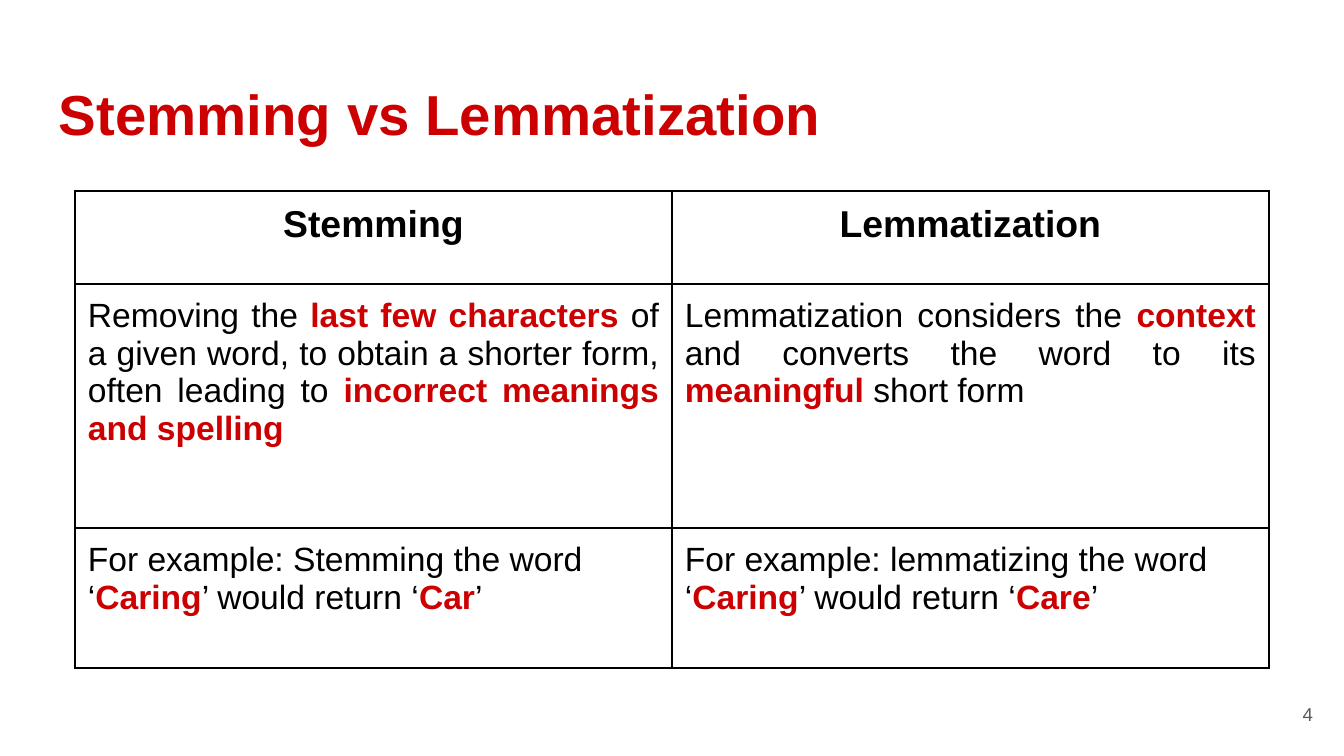
from lxml.etree import SubElement
from pptx import Presentation
from pptx.dml.color import RGBColor
from pptx.enum.text import MSO_ANCHOR as ANCHOR, MSO_AUTO_SIZE as AUTO, PP_ALIGN as ALIGN
from pptx.oxml.ns import qn
from pptx.util import Emu, Pt

FONT = "Arial"
COLORS = {"text": "000000", "accent": "CC0000", "muted": "595959", "paper": "FFFFFF"}
INSET = 13
COLUMN_WIDTH = 597
ROW_HEIGHTS = (93, 244, 140)
HEADERS = ("Stemming", "Lemmatization")
# Asterisks enclose emphasized words.
DEFINITIONS = (
    "Removing the *last few characters* of a given word, to obtain a shorter form, "
    "often leading to *incorrect meanings and spelling*",
    "Lemmatization considers the *context* and converts the word to its "
    "*meaningful *short form",
)
EXAMPLES = (
    "For example: Stemming the word ‘*Caring*’ would return ‘*Car*’",
    "For example: lemmatizing the word ‘*Caring*’ would return ‘*Care*’",
)


def px(n):
    return Emu(round(n * 914400 / 134.4))


def rgb(name):
    return RGBColor.from_string(COLORS[name])


def set_insets(box):
    box.margin_left = box.margin_right = box.margin_top = box.margin_bottom = px(INSET)


def write(tf, text, size=18, color="text", bold=False, align=ALIGN.LEFT):
    """Fill the frame with one paragraph; *starred* parts are bold and accented."""
    p = tf.paragraphs[0]
    p.alignment = align
    for i, part in enumerate(text.split("*")):
        if not part:
            continue
        strong = i % 2 == 1
        r = p.add_run()
        r.text = part
        r.font.name, r.font.size = FONT, Pt(size)
        r.font.bold = bold or strong
        r.font.color.rgb = rgb("accent" if strong else color)


def add_title(slide, text):
    s = slide.shapes.title
    s.left, s.top, s.width, s.height = map(px, (46, 66, 1253, 85))
    tf = s.text_frame
    set_insets(tf)
    tf.word_wrap, tf.auto_size = True, AUTO.NONE
    tf.vertical_anchor = ANCHOR.TOP
    write(tf, text, size=30.2, color="accent", bold=True)


def add_page_number(slide, number):
    tf = slide.shapes.add_textbox(*map(px, (1246, 685, 80, 58))).text_frame
    set_insets(tf)
    tf.word_wrap = True
    tf.vertical_anchor = ANCHOR.MIDDLE
    write(tf, str(number), size=10, color="muted", align=ALIGN.RIGHT)


def style_cell(cell):
    set_insets(cell)
    cell.vertical_anchor = ANCHOR.TOP
    tc_pr = cell._tc.get_or_add_tcPr()
    for side in ("lnL", "lnR", "lnT", "lnB"):
        line = SubElement(tc_pr, qn(f"a:{side}"), w=str(Pt(1.5)))
        fill = SubElement(line, qn("a:solidFill"))
        SubElement(fill, qn("a:srgbClr"), val=COLORS["text"])
    cell.fill.solid()
    cell.fill.fore_color.rgb = rgb("paper")


def add_comparison(slide):
    rows = (
        (HEADERS, dict(size=20, bold=True, align=ALIGN.CENTER)),
        (DEFINITIONS, dict(align=ALIGN.JUSTIFY)),
        (EXAMPLES, {}),
    )
    n_cols = len(HEADERS)
    box = map(px, (75, 191, n_cols * COLUMN_WIDTH, sum(ROW_HEIGHTS)))
    table = slide.shapes.add_table(len(rows), n_cols, *box).table
    table.first_row = table.horz_banding = False
    for column in table.columns:
        column.width = px(COLUMN_WIDTH)
    for row, height, (texts, style) in zip(table.rows, ROW_HEIGHTS, rows):
        row.height = px(height)
        for cell, text in zip(row.cells, texts):
            style_cell(cell)
            write(cell.text_frame, text, **style)


def main():
    prs = Presentation()
    prs.slide_width, prs.slide_height = px(1344), px(756)
    slide = prs.slides.add_slide(prs.slide_layouts[5])
    add_title(slide, "Stemming vs Lemmatization")
    add_page_number(slide, 4)
    add_comparison(slide)
    prs.save("out.pptx")


if __name__ == "__main__":
    main()
